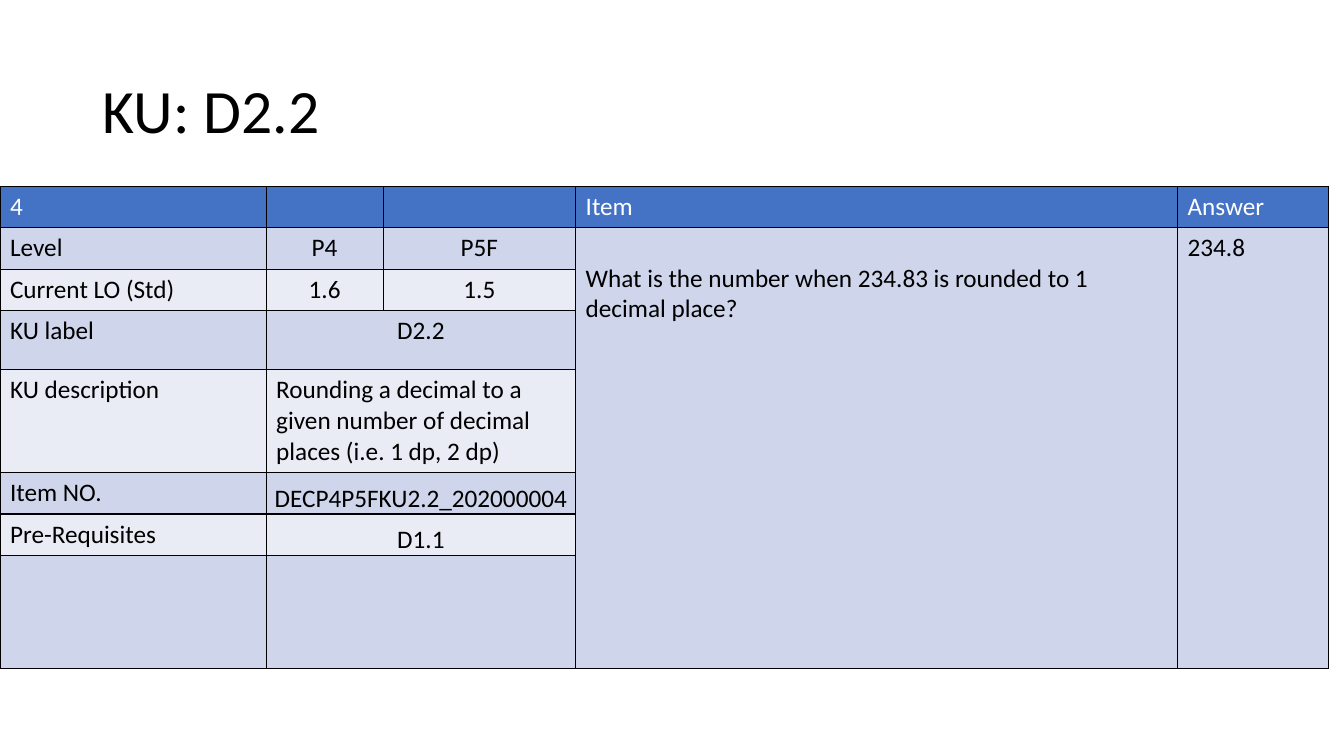
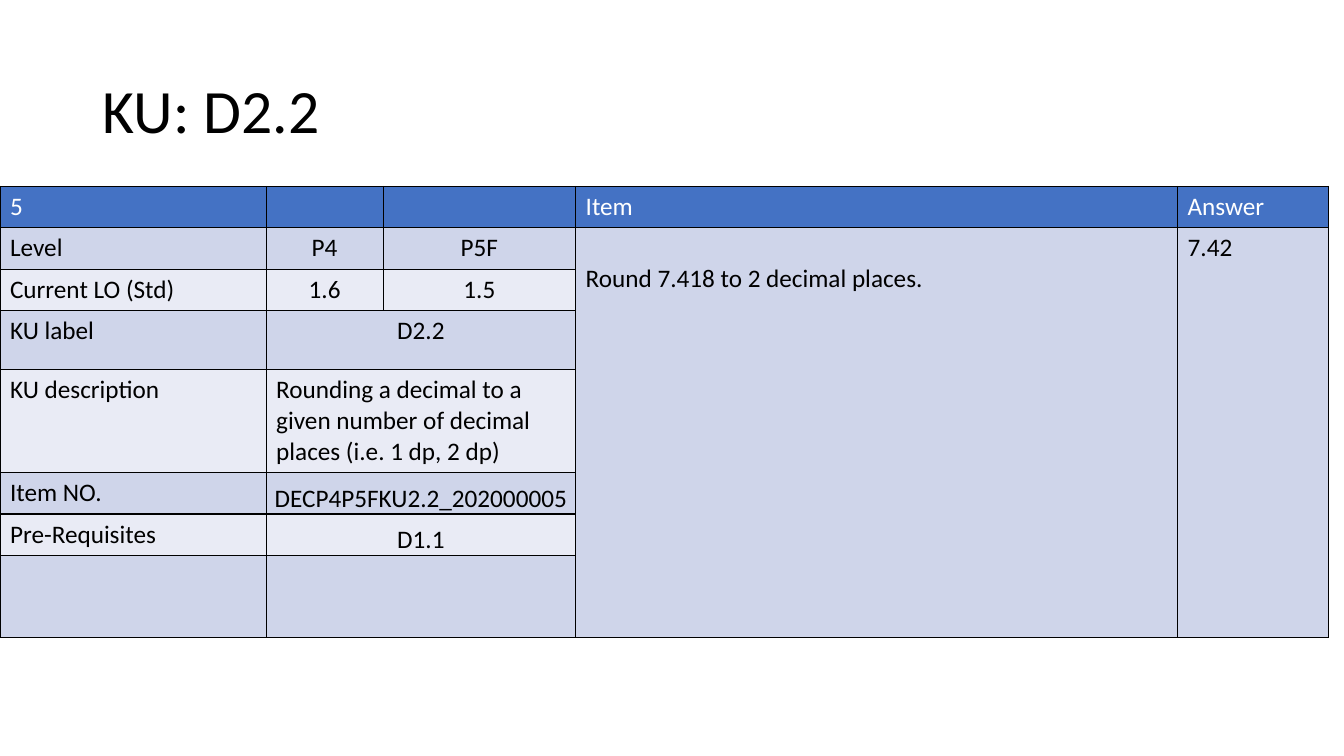
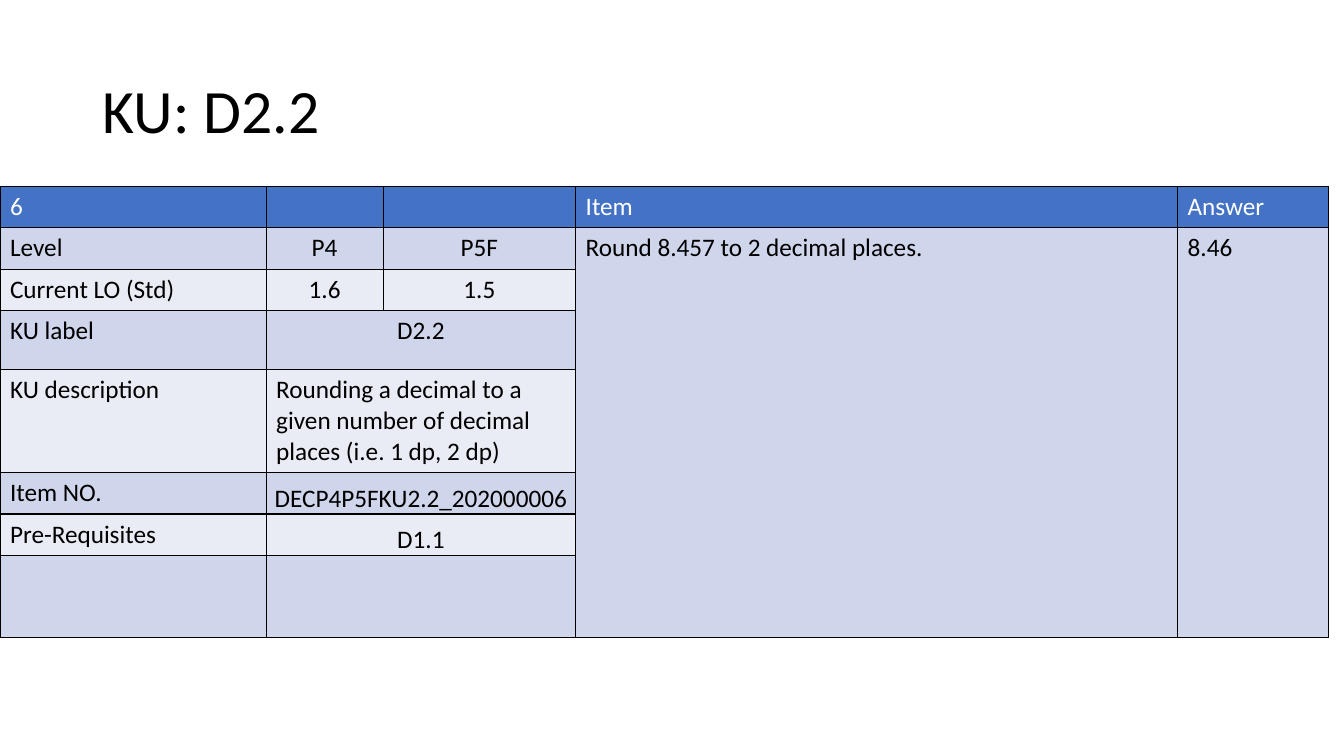
from dataclasses import dataclass, field
from typing import Any

from lxml.etree import SubElement as Sub
from pptx import Presentation
from pptx.dml.color import RGBColor as Rgb
from pptx.enum.text import MSO_ANCHOR as Anchor, PP_ALIGN as Align
from pptx.oxml.ns import qn
from pptx.util import Inches, Pt

FONT = "Calibri"
BLACK, WHITE, BLUE = "000000", "FFFFFF", "4472C4"
BANDS = ("CFD5EA", "E9EBF5")
WIDTHS = (2.64, 1.16, 1.91, 5.97, 1.5)
HEIGHTS = (0.41, 0.41, 0.41, 0.59, 1.02, 0.41, 0.41)
LABELS = ("Level", "Current LO (Std)", "KU label", "KU description",
          "Item NO.", "Pre-Requisites")
LAST = len(HEIGHTS)

LEFT: dict[str, Any] = {}
MID = {"alignment": Align.CENTER}
LOW = {"vertical_anchor": Anchor.BOTTOM, "margin_left": Inches(0.01),
       "margin_right": Inches(0.01), "margin_top": Inches(0.01),
       "margin_bottom": 0}


@dataclass
class Item:
    """One question, its answer and the size of its table."""
    num: int
    ask: str
    answer: str
    top: float = 0.05
    foot: float = 0.82


@dataclass
class Entry:
    """Text for one table cell, with its formats."""
    row: int
    col: int
    text: str
    para: dict[str, Any] = field(default_factory=dict)
    box: dict[str, Any] = field(default_factory=dict)


ITEMS = (
    Item(4, "What is the number when 234.83 is rounded to 1 decimal place?",
         "234.8", top=0.35, foot=1.12),
    Item(5, "Round 7.418 to 2 decimal places.", "7.42", top=0.35),
    Item(6, "Round 8.457 to 2 decimal places.", "8.46"),
)


def color(code: str) -> Rgb:
    """Turn a hex string into a colour."""
    return Rgb.from_string(code)


def apply(thing: Any, style: dict[str, Any]) -> None:
    """Set each format value on an object."""
    for name, value in style.items():
        setattr(thing, name, value)


def write(para: Any, text: str, size: float, ink: str) -> None:
    """Put text in a paragraph as one styled run."""
    run = para.add_run()
    run.text = text
    apply(run.font, {"name": FONT, "size": Pt(size), "bold": False})
    run.font.color.rgb = color(ink)


def title(slide: Any, text: str) -> None:
    """Draw the slide title."""
    box = slide.shapes.add_textbox(Inches(0.92), Inches(0.4),
                                   Inches(11.5), Inches(1.45))
    frame = box.text_frame
    apply(frame, {"word_wrap": True, "vertical_anchor": Anchor.MIDDLE})
    frame.paragraphs[0].line_spacing = 0.9
    write(frame.paragraphs[0], text, 44, BLACK)


def paint(cell: Any, fill: str) -> None:
    """Give a cell thin black borders and a fill."""
    props = cell._tc.get_or_add_tcPr()
    for side in ("lnL", "lnR", "lnT", "lnB"):
        line = Sub(props, qn(f"a:{side}"), w=str(Pt(1)))
        Sub(Sub(line, qn("a:solidFill")), qn("a:srgbClr"), val=BLACK)
    cell.fill.solid()
    cell.fill.fore_color.rgb = color(fill)


def shade(row: int, col: int) -> str:
    """Choose the fill for a place in the table."""
    if row == 0:
        return BLUE
    return BANDS[0] if col > 2 else BANDS[(row - 1) % 2]


def entries(item: Item) -> list[Entry]:
    """List the filled cells of an item's table."""
    labels = [Entry(row, 0, text) for row, text in enumerate(LABELS, 1)]
    return labels + [
        Entry(0, 0, str(item.num)),
        Entry(0, 3, "Item"),
        Entry(0, 4, "Answer"),
        Entry(1, 1, "P4", MID),
        Entry(1, 2, "P5F", MID),
        Entry(1, 3, item.ask, LEFT, {"margin_top": Inches(item.top)}),
        Entry(1, 4, item.answer),
        Entry(2, 1, "1.6", MID),
        Entry(2, 2, "1.5", MID),
        Entry(3, 1, "D2.2", MID),
        Entry(4, 1, "Rounding a decimal to a given number of decimal "
                    "places (i.e. 1 dp, 2 dp)"),
        Entry(5, 1, f"DECP4P5FKU2.2_{202000000 + item.num}", MID, LOW),
        Entry(6, 1, "D1.1", MID, LOW),
    ]


def grid(slide: Any, item: Item) -> None:
    """Draw the table for one item."""
    heights = (*HEIGHTS, item.foot)
    table = slide.shapes.add_table(
        len(heights), len(WIDTHS), Inches(0), Inches(1.85),
        Inches(sum(WIDTHS)), Inches(sum(heights))).table
    apply(table, {"first_row": False, "horz_banding": False})
    for col, width in zip(table.columns, WIDTHS):
        col.width = Inches(width)
    for row, height in zip(table.rows, heights):
        row.height = Inches(height)
    for row in range(len(heights)):
        for col in range(len(WIDTHS)):
            paint(table.cell(row, col), shade(row, col))
    for row in range(3, LAST + 1):
        table.cell(row, 1).merge(table.cell(row, 2))
    for col in (3, 4):
        table.cell(1, col).merge(table.cell(LAST, col))
    for entry in entries(item):
        cell = table.cell(entry.row, entry.col)
        para = cell.text_frame.paragraphs[0]
        apply(cell, entry.box)
        apply(para, entry.para)
        write(para, entry.text, 18, BLACK if entry.row else WHITE)


def main() -> None:
    """Build and save the slides."""
    deck = Presentation()
    apply(deck, {"slide_width": Inches(13.33), "slide_height": Inches(7.5)})
    for item in ITEMS:
        slide = deck.slides.add_slide(deck.slide_layouts[6])
        title(slide, "KU: D2.2")
        grid(slide, item)
    deck.save("out.pptx")


main()
